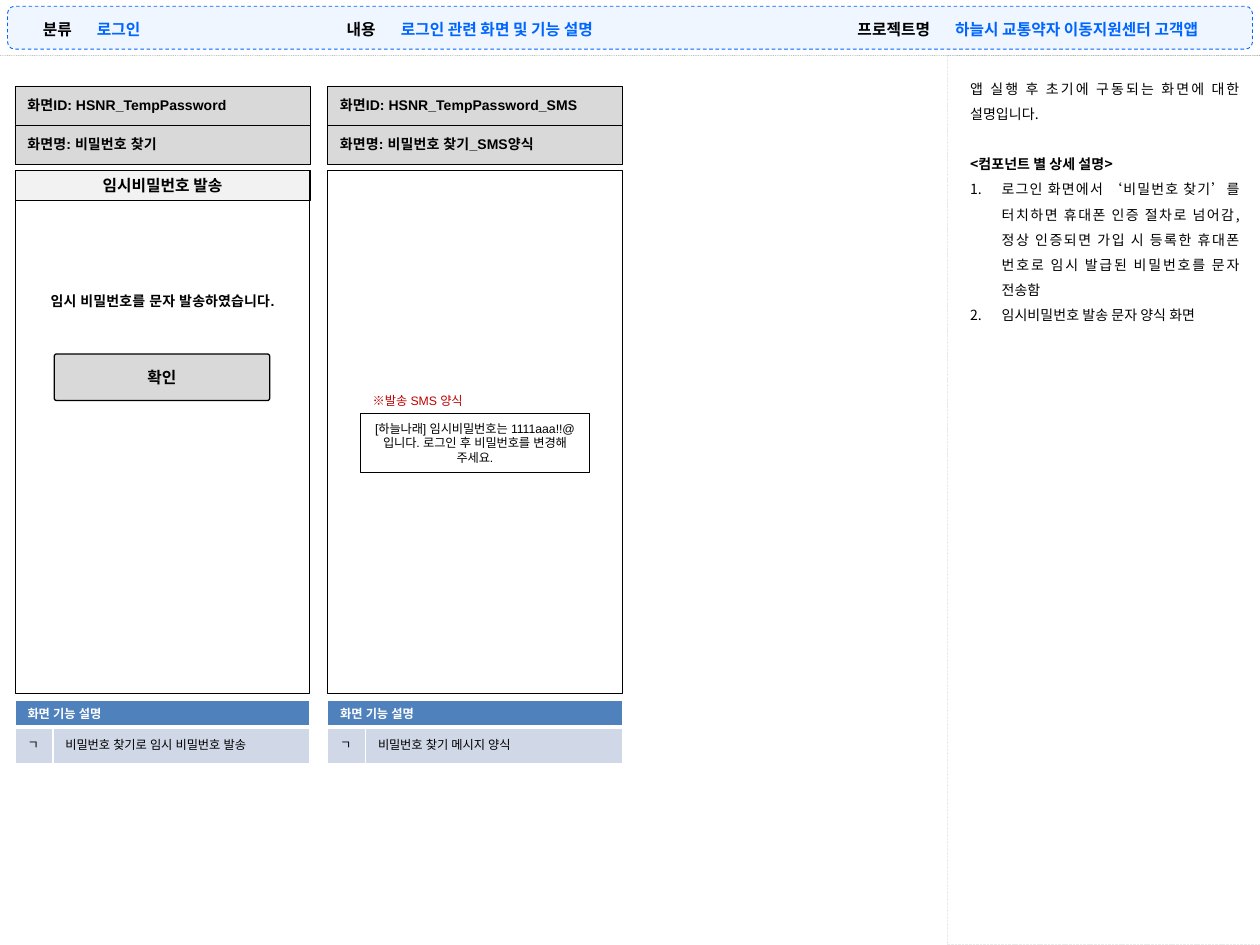
import pptx
import pptx.dml.color
import pptx.enum.dml
import pptx.enum.shapes
import pptx.enum.text
import pptx.oxml.ns
import pptx.util
import lxml.etree as etree
from dataclasses import dataclass

Pt = pptx.util.Pt
qn = pptx.oxml.ns.qn
Kind = pptx.enum.shapes.MSO_SHAPE
Dash = pptx.enum.dml.MSO_LINE
Align = pptx.enum.text.PP_ALIGN
Anchor = pptx.enum.text.MSO_ANCHOR

NOTO, ARIAL = "Noto Sans CJK KR", "Arial"
BLACK, WHITE, BLUE, GREY = "000000", "FFFFFF", "0066FF", "D9D9D9"
WIDE = 168.5


@dataclass
class Box:
    x: float
    y: float
    w: float
    h: float


@dataclass
class Look:
    size: float
    name: str = ARIAL
    bold: bool = False
    color: str = BLACK
    align: Align = Align.LEFT


@dataclass
class Field:
    x: float
    cols: tuple[float, float]
    label: str
    value: str


@dataclass
class Screen:
    x: float
    code: str
    name: str
    note: str


FIELDS = [
    Field(8.6, (39.6, 118.8), "분류", "로그인"),
    Field(175, (46.8, 257), "내용", "로그인 관련 화면 및 기능 설명"),
    Field(478.8, (59.8, 178.6), "프로젝트명", "하늘시 교통약자 이동지원센터 고객앱"),
]
SCREENS = [
    Screen(8.6, "화면ID: HSNR_TempPassword", "화면명: 비밀번호 찾기", "비밀번호 찾기로 임시 비밀번호 발송"),
    Screen(187.2, "화면ID: HSNR_TempPassword_SMS", "화면명: 비밀번호 찾기_SMS양식", "비밀번호 찾기 메시지 양식"),
]
INTRO = "앱 실행 후 초기에 구동되는 화면에 대한 설명입니다."
HEAD = "<컴포넌트 별 상세 설명>"
STEPS = [
    "로그인 화면에서 ‘비밀번호 찾기’를 터치하면 휴대폰 인증 절차로 넘어감, 정상 인증되면 가입 시 등록한 휴대폰 번호로 임시 발급된 비밀번호를 문자 전송함",
    "임시비밀번호 발송 문자 양식 화면",
]


def tint(code: str) -> pptx.dml.color.RGBColor:
    return pptx.dml.color.RGBColor.from_string(code)


def fade(shape, share: int) -> None:
    color = shape._element.find(".//" + qn("a:solidFill") + "/" + qn("a:srgbClr"))
    etree.SubElement(color, qn("a:alpha"), val=str(share * 1000))


def write(para, text: str, look: Look) -> None:
    run = para.add_run()
    run.text = text
    para.alignment = look.align
    values = {"size": Pt(look.size), "name": look.name, "bold": look.bold}
    for key, value in values.items():
        setattr(run.font, key, value)
    run.font.color.rgb = tint(look.color)
    etree.SubElement(run._r.get_or_add_rPr(), qn("a:ea"), typeface=look.name)


def place(shape, box: Box) -> None:
    spots = {"left": box.x, "top": box.y, "width": box.w, "height": box.h}
    for key, value in spots.items():
        setattr(shape, key, Pt(value))


def paint(shape, fill: str | None, line: str, width: float, dash=None) -> None:
    if fill:
        shape.fill.solid()
        shape.fill.fore_color.rgb = tint(fill)
    else:
        shape.fill.background()
    shape.line.color.rgb = tint(line)
    shape.line.width = Pt(width)
    if dash:
        shape.line.dash_style = dash


def label(shape, text: str, look: Look, wrap: bool = True, anchor=Anchor.MIDDLE):
    frame = shape.text_frame
    values = {"word_wrap": wrap, "vertical_anchor": anchor,
              "auto_size": pptx.enum.text.MSO_AUTO_SIZE.NONE}
    for key, value in values.items():
        setattr(frame, key, value)
    write(frame.paragraphs[0], text, look)
    return frame.paragraphs[0]


def block(slide, box: Box, fill: str | None, line: str, width: float, kind=Kind.RECTANGLE, dash=None):
    shape = slide.shapes.add_shape(kind, Pt(box.x), Pt(box.y), Pt(box.w), Pt(box.h))
    shape.shadow.inherit = False
    paint(shape, fill, line, width, dash)
    return shape


def note(slide, box: Box):
    return slide.shapes.add_textbox(Pt(box.x), Pt(box.y), Pt(box.w), Pt(box.h))


def grid(slide, x: float, y: float, cols: tuple, rows: tuple):
    frame = slide.shapes.add_table(len(rows), len(cols), Pt(x), Pt(y), Pt(sum(cols)), Pt(sum(rows)))
    table = frame.table
    table.first_row = table.horz_banding = False
    for col, width in zip(table.columns, cols):
        col.width = Pt(width)
    for row, height in zip(table.rows, rows):
        row.height = Pt(height)
    return table


def edge(cell, widths: dict[str, float]) -> None:
    props = cell._tc.get_or_add_tcPr()
    for side in "LRTB":
        width = widths.get(side, 0)
        line = etree.SubElement(props, qn("a:ln" + side), w=str(Pt(width)))
        if width:
            fill = etree.SubElement(line, qn("a:solidFill"))
            etree.SubElement(fill, qn("a:srgbClr"), val=WHITE)
        else:
            etree.SubElement(line, qn("a:noFill"))


def draw_field(slide, field: Field) -> None:
    table = grid(slide, field.x, 6.5, field.cols, (15.1,))
    looks = (Look(9, NOTO, True, BLACK, Align.RIGHT), Look(9, NOTO, True, BLUE))
    for cell, text, look in zip(table.rows[0].cells, (field.label, field.value), looks):
        edge(cell, {})
        cell.fill.background()
        write(cell.text_frame.paragraphs[0], text, look)


def draw_screen(slide, screen: Screen) -> None:
    for row, text in enumerate((screen.code, screen.name)):
        bar = block(slide, Box(screen.x, 49 + row * 22.3, WIDE, 22.3), GREY, BLACK, 0.25)
        label(bar, text, Look(8, bold=True), wrap=False)
    block(slide, Box(screen.x, 97.2, WIDE, 298.8), None, BLACK, 0.5)

    table = grid(slide, screen.x, 400.3, (21.6, WIDE - 21.6), (15.1, 20.9))
    table.cell(0, 0).merge(table.cell(0, 1))
    for row, fill in enumerate(("4F81BD", "D0D8E8")):
        for cell in table.rows[row].cells:
            edge(cell, {"L": 1, "R": 1, "T": 1 if row == 0 else 3, "B": 3 if row == 0 else 1})
            cell.fill.solid()
            cell.fill.fore_color.rgb = tint(fill)
            cell.vertical_anchor = Anchor.MIDDLE
    write(table.cell(0, 0).text_frame.paragraphs[0], "화면 기능 설명", Look(7, bold=True, color=WHITE))
    for col, text in enumerate(("ㄱ", screen.note)):
        write(table.cell(1, col).text_frame.paragraphs[0], text, Look(7))


def draw_guide(body) -> None:
    place(body, Box(547.2, 37.4, 168.5, 152.6))
    items = [(INTRO, False, False), (HEAD, True, False)] + [(step, False, True) for step in STEPS]
    for index, (text, bold, listed) in enumerate(items):
        look = Look(8, NOTO, bold, BLACK, Align.JUSTIFY)
        if index:
            para = body.text_frame.add_paragraph()
            write(para, text, look)
        else:
            para = label(body, text, look, anchor=Anchor.TOP)
        values = {"line_spacing": Pt(14.4), "space_after": Pt(0),
                  "space_before": Pt(14.4 if bold else 0)}
        for key, value in values.items():
            setattr(para, key, value)
        props = para._p.get_or_add_pPr()
        inset = Pt(18) if listed else 0
        props.set("marL", str(inset))
        props.set("indent", str(-inset))
        if listed:
            etree.SubElement(props, qn("a:buFont"), typeface="+mj-lt")
            etree.SubElement(props, qn("a:buAutoNum"), type="arabicPeriod")
        else:
            etree.SubElement(props, qn("a:buNone"))


def main() -> None:
    deck = pptx.Presentation()
    deck.slide_width, deck.slide_height = Pt(720), Pt(540)
    slide = deck.slides.add_slide(deck.slide_layouts[1])
    title, body = slide.placeholders

    block(slide, Box(541.5, 31.7, 178.5, 508.3), None, "EAEAEA", 0.5, dash=Dash.SQUARE_DOT)
    draw_guide(body)
    band = block(slide, Box(4.3, 3.6, 711.4, 24.5), BLUE, BLUE, 0.5, Kind.ROUNDED_RECTANGLE, Dash.DASH)
    fade(band, 6)
    rule = slide.shapes.add_connector(pptx.enum.shapes.MSO_CONNECTOR.STRAIGHT, 0, Pt(31.7), Pt(720), Pt(31.7))
    rule.line.color.rgb = tint("808080")
    rule.line.width = Pt(0.5)
    rule.line.dash_style = Dash.ROUND_DOT
    fade(rule, 48)
    etree.SubElement(rule._element.spPr, qn("a:effectLst"))

    for field in FIELDS:
        draw_field(slide, field)
    for screen in SCREENS:
        draw_screen(slide, screen)

    mid = Look(9, NOTO, True, BLACK, Align.CENTER)
    place(title, Box(8.6, 97.2, WIDE, 17.3))
    paint(title, "F2F2F2", BLACK, 0.25)
    label(title, "임시비밀번호 발송", mid, wrap=False)
    sent = note(slide, Box(14.4, 159.1, 157, 21.6))
    para = label(sent, "임시 비밀번호를 문자 발송하였습니다.", Look(8, bold=True, align=Align.CENTER), anchor=Anchor.TOP)
    para.line_spacing = 1.5
    button = block(slide, Box(31, 202.3, 123.1, 26.6), GREY, BLACK, 0.75, Kind.ROUNDED_RECTANGLE)
    button.adjustments[0] = 0.05
    label(button, "확인", mid)

    sms = block(slide, Box(205.9, 236.2, 131, 33.8), WHITE, BLACK, 0.5)
    label(sms, "[하늘나래] 임시비밀번호는 1111aaa!!@ 입니다. 로그인 후 비밀번호를 변경해 주세요.", Look(7, align=Align.CENTER))
    label(note(slide, Box(205.9, 222.5, 131, 13)), "※발송 SMS 양식", Look(7, color="C00000"))
    deck.save("out.pptx")


if __name__ == "__main__":
    main()
